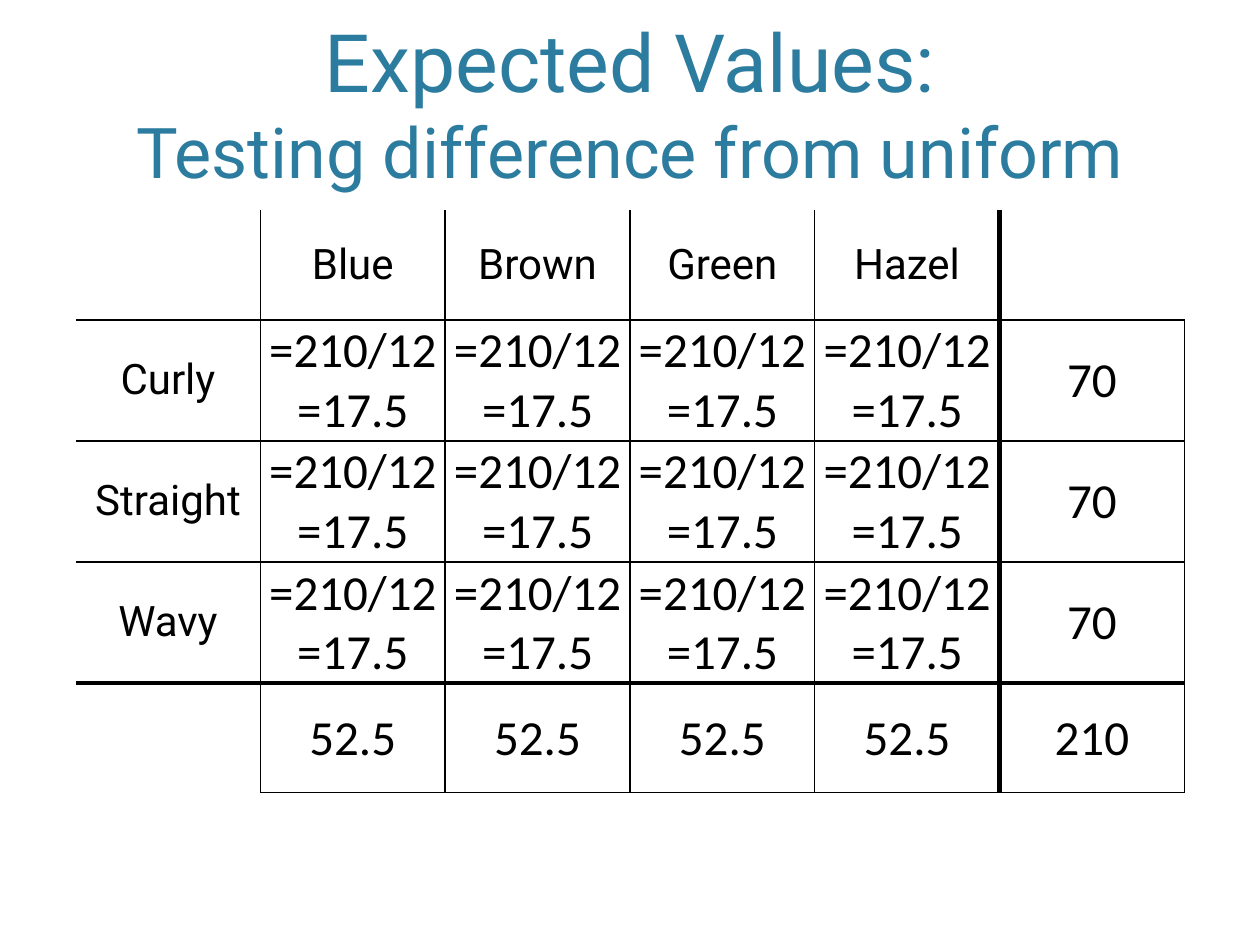
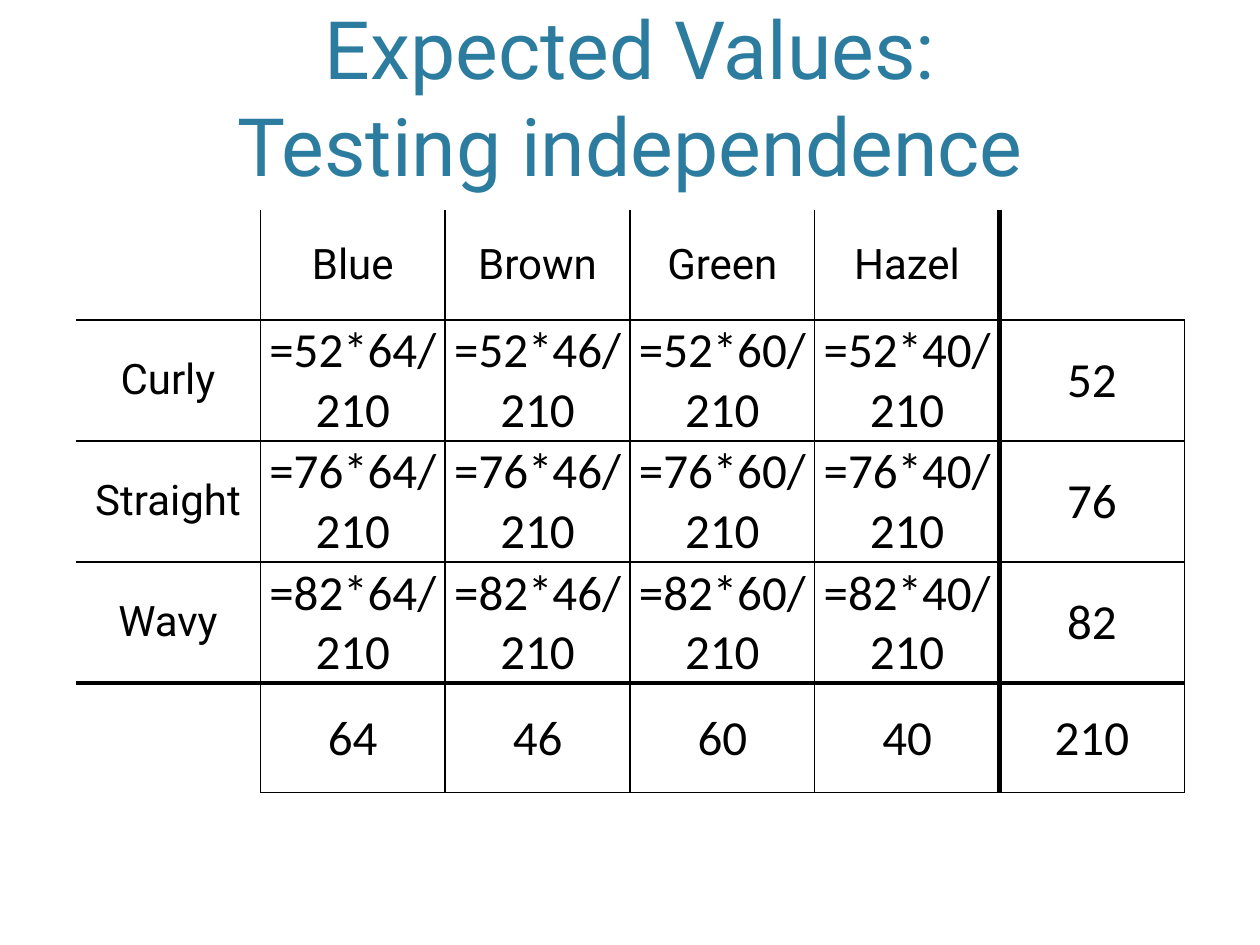
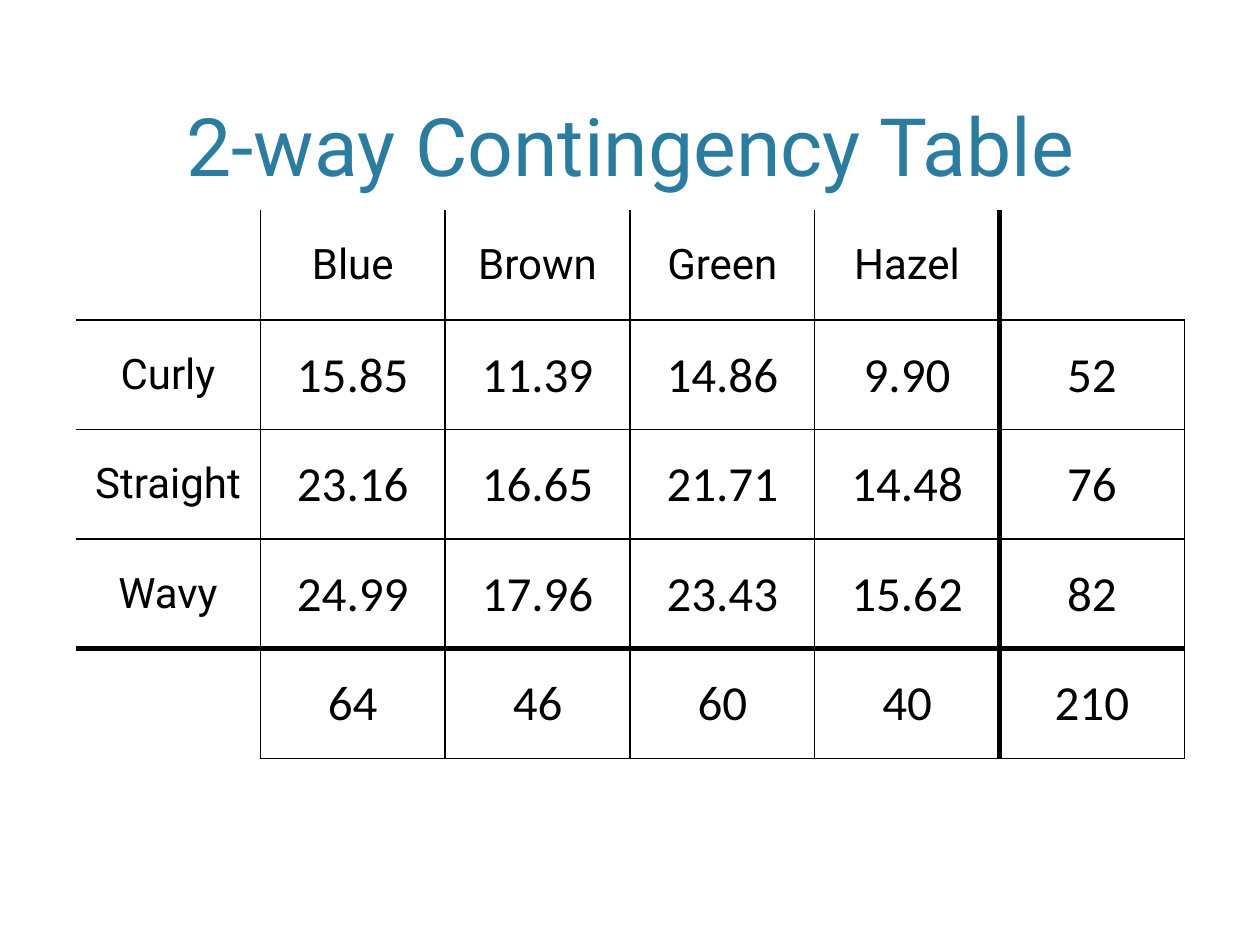
from lxml.etree import SubElement
from pptx import Presentation
from pptx.dml.color import RGBColor
from pptx.enum.text import MSO_ANCHOR, MSO_AUTO_SIZE, PP_ALIGN
from pptx.oxml.ns import qn
from pptx.util import Pt

TITLE_BLUE = RGBColor(0x2C, 0x7C, 0x9F)
BLACK = RGBColor(0, 0, 0)
LABEL_FONT, NUMBER_FONT = "Roboto", "Calibri"

TITLE_BOX = (43.2, 8.64, 633.6, 105.12)
TABLE_BOX = (43.2, 120.24, 633.6, 313.2)
WRAPPED_TABLE_HEIGHT = 329.76
THIN, THICK = 1, 3

EYE_COLOURS = ["Blue", "Brown", "Green", "Hazel"]
HAIR_TYPES = ["Curly", "Straight", "Wavy"]
HAIR_TOTALS = [52, 76, 82]
EYE_TOTALS = [64, 46, 60, 40]
GRAND_TOTAL = 210

UNIFORM_VALUES = [["=210/12=17.5"] * 4 for _ in HAIR_TYPES]
INDEPENDENT_FORMULAS = [[f"={hair}*{eye}/{GRAND_TOTAL}" for eye in EYE_TOTALS]
                        for hair in HAIR_TOTALS]
INDEPENDENT_VALUES = [
    ["15.85", "11.39", "14.86", "9.90"],
    ["23.16", "16.65", "21.71", "14.48"],
    ["24.99", "17.96", "23.43", "15.62"],
]


def write(para, text, *, size, font=LABEL_FONT, color=BLACK):
    para.alignment = PP_ALIGN.CENTER
    span = para.add_run()
    span.text = text
    span.font.size = Pt(size)
    span.font.name = font
    span.font.color.rgb = color


def add_title(page, lines, box):
    """Fill the title with (text, size) lines."""
    title = page.shapes.title
    title.left, title.top, title.width, title.height = map(Pt, box)
    frame = title.text_frame
    frame.word_wrap = True
    frame.auto_size = MSO_AUTO_SIZE.NONE
    frame.vertical_anchor = MSO_ANCHOR.BOTTOM
    para = frame.paragraphs[0]
    for index, (text, size) in enumerate(lines):
        if index:
            para.add_line_break()
        write(para, text, size=size, color=TITLE_BLUE)


def set_border(cell, side, width):
    """Draw one side of a cell, or clear it when the width is 0."""
    properties = cell._tc.get_or_add_tcPr()
    line = SubElement(properties, qn(f"a:ln{side}"), w=str(Pt(width)))
    if width:
        fill = SubElement(line, qn("a:solidFill"))
        SubElement(fill, qn("a:srgbClr"), val=str(BLACK))
    else:
        SubElement(line, qn("a:noFill"))


def border_widths(row, column, last_row, last_column):
    """Thick lines set off the totals; the outer edge encloses only numbers."""
    def vertical(edge):
        if edge == 0 or (edge > last_column and row == 0):
            return 0
        return THICK if edge == last_column else THIN

    def horizontal(edge):
        if edge == 0 or (edge > last_row and column == 0):
            return 0
        return THICK if edge == last_row else THIN

    return {"L": vertical(column), "R": vertical(column + 1),
            "T": horizontal(row), "B": horizontal(row + 1)}


def format_cell(cell, text, is_label):
    cell.fill.background()
    cell.vertical_anchor = MSO_ANCHOR.MIDDLE
    if not text:
        return
    para = cell.text_frame.paragraphs[0]
    if is_label:
        write(para, text, size=24)
    else:
        cell.margin_left = cell.margin_right = cell.margin_top = Pt(0.72)
        cell.margin_bottom = Pt(0)
        write(para, text, size=28, font=NUMBER_FONT)


def add_contingency_table(page, values, hair_totals, eye_totals, box, frame_height):
    rows = [["", *EYE_COLOURS, ""]]
    for hair, numbers, total in zip(HAIR_TYPES, values, hair_totals):
        rows.append([hair, *numbers, str(total)])
    rows.append(["", *map(str, eye_totals), str(GRAND_TOTAL)])

    table_shape = page.shapes.add_table(len(rows), len(rows[0]), *map(Pt, box))
    table = table_shape.table
    table.first_row = table.horz_banding = False
    for row, texts in enumerate(rows):
        for column, text in enumerate(texts):
            cell = table.cell(row, column)
            widths = border_widths(row, column, len(rows) - 1, len(texts) - 1)
            for side, width in widths.items():
                set_border(cell, side, width)
            format_cell(cell, text, is_label=row == 0 or column == 0)
    table_shape.height = Pt(frame_height)


def add_table_page(deck, title_lines, values, hair_totals=HAIR_TOTALS,
                   eye_totals=EYE_TOTALS, frame_height=TABLE_BOX[3]):
    page = deck.slides.add_slide(deck.slide_layouts.get_by_name("Title Only"))
    add_title(page, title_lines, TITLE_BOX)
    add_contingency_table(page, values, hair_totals, eye_totals, TABLE_BOX, frame_height)


def main():
    deck = Presentation()
    deck.slide_width, deck.slide_height = Pt(720), Pt(540)
    add_table_page(
        deck, [("Expected Values:", 46), ("Testing difference from uniform", 40)],
        UNIFORM_VALUES, hair_totals=[70] * 3, eye_totals=[52.5] * 4,
        frame_height=WRAPPED_TABLE_HEIGHT)
    add_table_page(
        deck, [("Expected Values:", 46), ("Testing independence", 46)],
        INDEPENDENT_FORMULAS, frame_height=WRAPPED_TABLE_HEIGHT)
    add_table_page(deck, [("2-way Contingency Table", 46)], INDEPENDENT_VALUES)
    deck.save("out.pptx")


if __name__ == "__main__":
    main()
